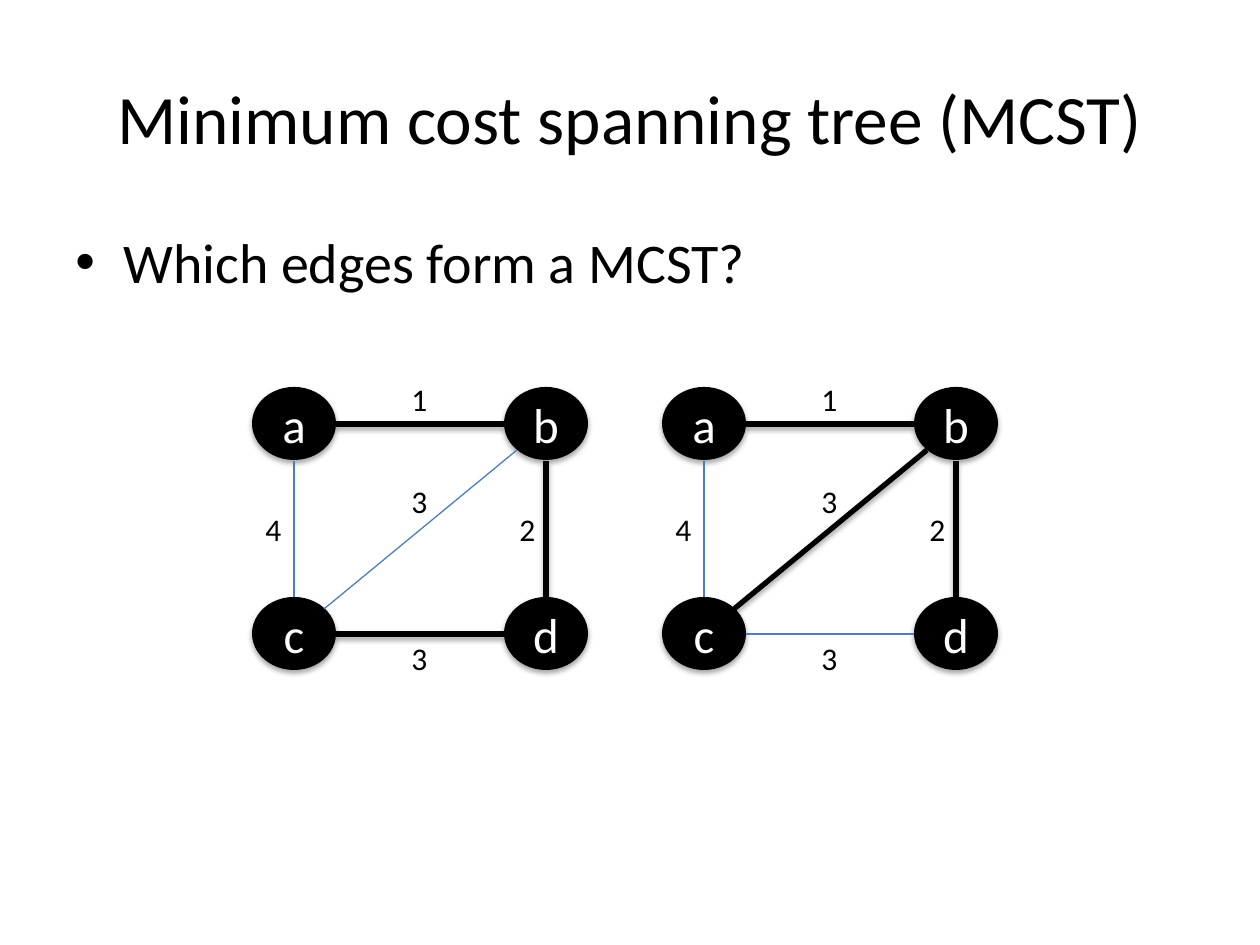
from lxml.etree import SubElement
from pptx import Presentation
from pptx.dml.color import RGBColor
from pptx.enum.shapes import MSO_CONNECTOR, MSO_SHAPE
from pptx.enum.text import MSO_ANCHOR, MSO_AUTO_SIZE, PP_ALIGN
from pptx.oxml.ns import qn
from pptx.util import Pt

PIXEL = 914400 // 126
FONT = "Calibri"
BLACK = RGBColor(0x00, 0x00, 0x00)
WHITE = RGBColor(0xFF, 0xFF, 0xFF)
BLUE = RGBColor(0x4B, 0x7E, 0xBC)

NODE_SIZE = (84, 73)
LABEL_SIZE = (63, 50)
# Positions relative to the top left corner of a graph
NODES = {"a": (0, 0), "b": (252, 0), "c": (0, 210), "d": (252, 210)}
# Edge: start, end, cost, position of the cost label
EDGES = {
    "ab": ((84, 37), (252, 37), "1", (136, -13)),
    "ac": ((42, 74), (42, 210), "4", (-10, 117)),
    "bc": ((72, 222), (265, 63), "3", (136, 89)),
    "cd": ((84, 247), (252, 247), "3", (136, 246)),
    "bd": ((294, 74), (294, 210), "2", (244, 117)),
}


def scaled(*lengths):
    return [length * PIXEL for length in lengths]


def set_shadow(shape, visible):
    """Give the shape a soft shadow below it, or none at all."""
    effects = SubElement(shape._element.spPr, qn("a:effectLst"))
    if visible:
        shadow = SubElement(effects, qn("a:outerShdw"), blurRad=str(Pt(3.1)),
                            dist=str(Pt(1.8)), dir="5400000", rotWithShape="0")
        color = SubElement(shadow, qn("a:srgbClr"), val=str(BLACK))
        SubElement(color, qn("a:alpha"), val="35000")


def write(shape, text, size, color, alignment):
    paragraph = shape.text_frame.paragraphs[0]
    paragraph.text = text
    paragraph.alignment = alignment
    paragraph.font.name = FONT
    paragraph.font.size = Pt(size)
    paragraph.font.color.rgb = color
    return paragraph


def add_title(slide, left, top, width, height):
    title = slide.shapes.title
    title.left, title.top, title.width, title.height = scaled(left, top, width, height)
    title.text_frame.vertical_anchor = MSO_ANCHOR.MIDDLE
    write(title, "Minimum cost spanning tree (MCST)", 39.6, BLACK, PP_ALIGN.CENTER)


def add_question(slide, left, top, width, height):
    box = slide.shapes.add_textbox(*scaled(left, top, width, height))
    box.text_frame.word_wrap = True
    paragraph = write(box, "Which edges form a MCST?", 32, BLACK, PP_ALIGN.LEFT)
    paragraph.space_before = Pt(6.4)
    properties = paragraph._p.get_or_add_pPr()
    properties.set("marL", str(48 * PIXEL))
    properties.set("indent", str(-48 * PIXEL))
    SubElement(properties, qn("a:buFont"), typeface="Arial")
    SubElement(properties, qn("a:buChar"), char="\u2022")


def add_node(slide, name, left, top):
    node = slide.shapes.add_shape(MSO_SHAPE.OVAL, *scaled(left, top, *NODE_SIZE))
    node.fill.solid()
    node.fill.fore_color.rgb = BLACK
    node.line.fill.background()
    set_shadow(node, True)
    node.text_frame.vertical_anchor = MSO_ANCHOR.MIDDLE
    write(node, name, 28, WHITE, PP_ALIGN.CENTER)


def add_edge(slide, start, end, in_tree):
    edge = slide.shapes.add_connector(MSO_CONNECTOR.STRAIGHT, *scaled(*start, *end))
    edge.line.color.rgb = BLACK if in_tree else BLUE
    edge.line.width = Pt(3 if in_tree else 0.75)
    set_shadow(edge, in_tree)


def add_cost(slide, cost, left, top):
    label = slide.shapes.add_textbox(*scaled(left, top, *LABEL_SIZE))
    label.text_frame.word_wrap = True
    label.text_frame.auto_size = MSO_AUTO_SIZE.SHAPE_TO_FIT_TEXT
    write(label, cost, 18, BLACK, PP_ALIGN.CENTER)


def add_graph(slide, left, top, tree):
    """Draw the graph with the edges of the tree in bold."""
    def moved(point):
        return left + point[0], top + point[1]

    for name, position in NODES.items():
        add_node(slide, name, *moved(position))
    for name, (start, end, cost, label_position) in EDGES.items():
        add_edge(slide, moved(start), moved(end), name in tree)
        add_cost(slide, cost, *moved(label_position))


presentation = Presentation()
presentation.slide_width, presentation.slide_height = scaled(1260, 945)
slide = presentation.slides.add_slide(presentation.slide_layouts[5])

add_title(slide, 63, 38, 1134, 157)
add_question(slide, 63, 221, 1134, 624)

# The two minimum cost spanning trees
add_graph(slide, 252, 387, ("ab", "bd", "cd"))
add_graph(slide, 662, 387, ("ab", "bd", "bc"))

presentation.save("out.pptx")
